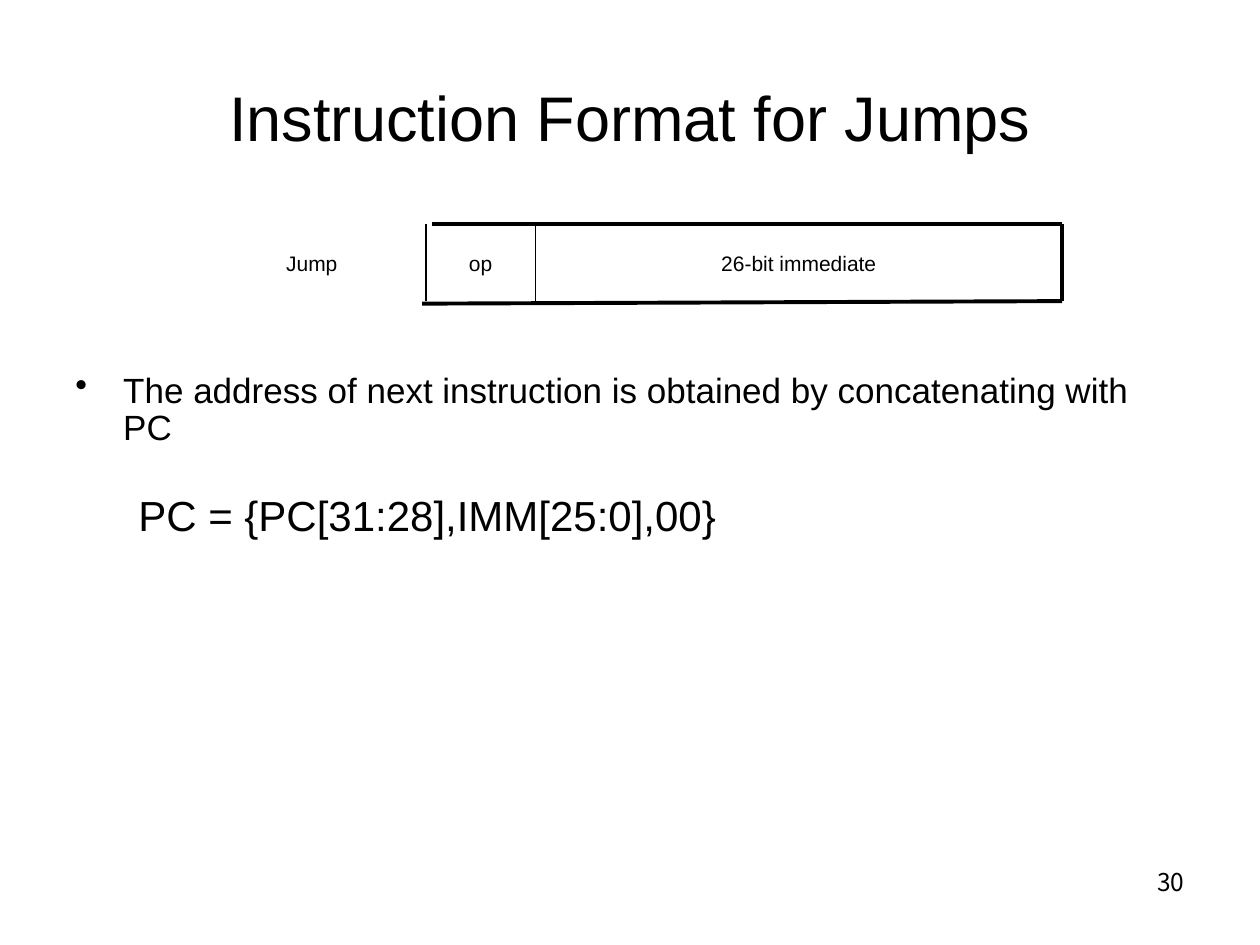
from lxml.etree import SubElement
from pptx import Presentation
from pptx.dml.color import RGBColor
from pptx.enum.shapes import MSO_CONNECTOR
from pptx.enum.text import MSO_ANCHOR, PP_ALIGN
from pptx.oxml.ns import qn
from pptx.util import Inches, Pt

COLORS = {"ink": "000000", "paper": "FFFFFF"}
INK = RGBColor.from_string(COLORS["ink"])

deck = Presentation()
deck.slide_width, deck.slide_height = Inches(10), Inches(7.5)
page = deck.slides.add_slide(deck.slide_layouts[6])
page.background.fill.solid()
page.background.fill.fore_color.rgb = RGBColor.from_string(COLORS["paper"])

# Columns and rows shared by the parts of the slide
margin, right = 0.5, 9.5
label_left, op_left, immediate_left, format_right = 1.57, 3.38, 4.25, 8.43
format_top, format_bottom = 1.78, 2.39


def add_text(left, top, width, height, lines, align=PP_ALIGN.LEFT,
             anchor=MSO_ANCHOR.TOP, font="Arial"):
    """Add a text box; lines holds (wording, size, space before)."""
    box = page.shapes.add_textbox(*map(Inches, (left, top, width, height)))
    frame = box.text_frame
    frame.word_wrap = True
    frame.vertical_anchor = anchor
    frame.text = "\n".join(wording for wording, _, _ in lines)
    for para, (_, size, before) in zip(frame.paragraphs, lines):
        para.alignment = align
        para.space_before = Pt(before)
        for span in para.runs:
            span.font.name, span.font.size = font, Pt(size)
            span.font.color.rgb = INK
            east_asian = SubElement(span.font._element, qn("a:ea"))
            east_asian.set("typeface", font)
    return frame


# Slide number and title
add_text(7.17, 6.83, right - 7.17, 0.52, [("30", 14, 0)], PP_ALIGN.RIGHT,
         font="Noto Sans CJK KR")
add_text(margin, 0.3, right - margin, 1.25,
         [("Instruction Format for Jumps", 36, 0)],
         PP_ALIGN.CENTER, MSO_ANCHOR.MIDDLE)

# Explanation: a bullet, then the indented formula
body = add_text(margin, 2.91, right - margin, 2.5, [
    ("The address of next instruction is obtained by concatenating with PC", 20, 5),
    ("PC = {PC[31:28],IMM[25:0],00}", 24, 27),
])
for para, (indent, hanging) in zip(body.paragraphs, [(0.38, -0.38), (0.81, -0.31)]):
    para.line_spacing = 0.9
    properties = para._p.get_or_add_pPr()
    properties.set("marL", str(Inches(indent)))
    properties.set("indent", str(Inches(hanging)))
bullet = SubElement(body.paragraphs[0]._p.get_or_add_pPr(), qn("a:buChar"))
bullet.set("char", "•")

# Instruction fields
edges = [label_left, op_left, immediate_left, format_right]
for wording, left, end in zip(["Jump", "op", "26-bit immediate"], edges, edges[1:]):
    add_text(left, format_top, end - left, format_bottom - format_top,
             [(wording, 12, 3)], PP_ALIGN.CENTER, MSO_ANCHOR.MIDDLE)

# Frame and dividers
rules = [
    (3.43, format_top, format_right, format_top, 2.25),
    (3.35, 2.41, format_right, format_bottom, 2.25),
]
rules += [(x, format_top, x, format_bottom, weight) for x, weight in
          [(op_left, 1), (format_right, 2.25), (immediate_left, 1)]]
for *ends, weight in rules:
    rule = page.shapes.add_connector(MSO_CONNECTOR.STRAIGHT, *map(Inches, ends))
    rule.line.color.rgb = INK
    rule.line.width = Pt(weight)
    SubElement(rule._element.spPr, qn("a:effectLst"))

deck.save("out.pptx")
